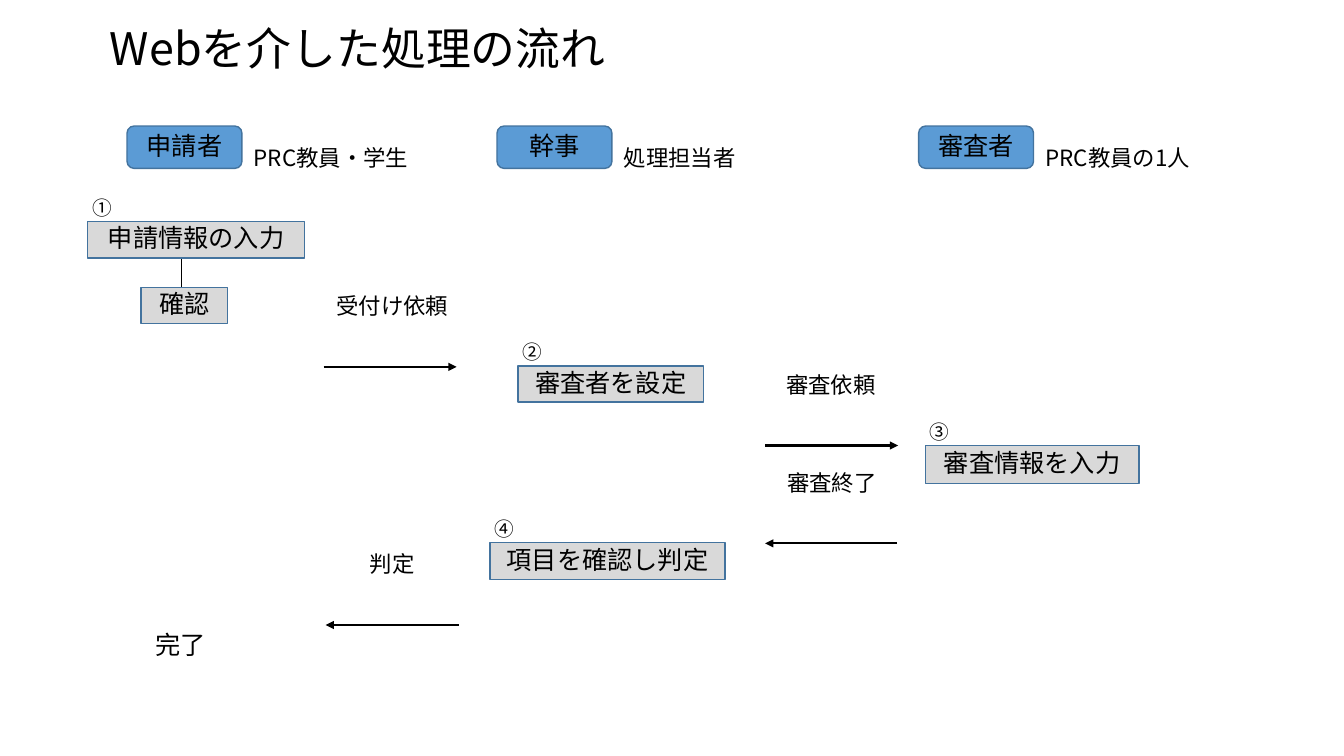
"""Build the slide on the flow of requests handled through the Web."""
from dataclasses import dataclass

from lxml import etree
from pptx import Presentation
from pptx.dml.color import RGBColor
from pptx.enum.shapes import MSO_CONNECTOR, MSO_SHAPE
from pptx.enum.text import MSO_ANCHOR, MSO_AUTO_SIZE, PP_ALIGN
from pptx.oxml.ns import qn
from pptx.util import Inches, Pt

RECT, ROUND = MSO_SHAPE.RECTANGLE, MSO_SHAPE.ROUNDED_RECTANGLE
STRAIGHT = MSO_CONNECTOR.STRAIGHT
LEFT, CENTER = PP_ALIGN.LEFT, PP_ALIGN.CENTER
MIDDLE, FIXED = MSO_ANCHOR.MIDDLE, MSO_AUTO_SIZE.NONE

WIDTH, HEIGHT = Inches(13.33), Inches(7.5)
COLS = ROWS = 100
FONT = "Noto Sans CJK JP"
BLACK, BLUE, GRAY, EDGE = "000000", "5B9BD5", "D9D9D9", "43739E"
TEXT_H = 7.07


@dataclass
class Area:
    """A block of grid columns and rows."""
    x: float
    y: float
    w: float
    h: float


@dataclass
class Role:
    """A party at the head of a lane."""
    name: str
    note: str
    x: float


@dataclass
class Step:
    """A boxed task with its number."""
    mark: str
    text: str
    area: Area


@dataclass
class Flow:
    """A message arrow with its label."""
    text: str
    start: float
    end: float
    y: float
    label_x: float


ROLES = [
    Role("申請者", "PRC教員・学生", 9.45),
    Role("幹事", "処理担当者", 36.98),
    Role("審査者", "PRC教員の1人", 68.35),
]
STEPS = [
    Step("", "確認", Area(10.5, 38, 6.45, 4.8)),
    Step("➁", "審査者を設定", Area(38.55, 48.4, 13.8, 4.8)),
    Step("③", "審査情報を入力", Area(68.85, 58.93, 15.9, 5.07)),
    Step("④", "項目を確認し判定", Area(36.45, 71.73, 17.5, 4.93)),
    Step("①", "申請情報の入力", Area(6.53, 29.3, 16.13, 4.85)),
]
FLOWS = [
    Flow("審査依頼", 56.93, 66.83, 58.93, 57.75),
    Flow("審査終了", 66.75, 56.93, 71.87, 57.83),
    Flow("受付け依頼", 24.08, 33.98, 48.53, 24.3),
    Flow("判定", 34.13, 24.23, 82.67, 26.78),
]


def col(n: float) -> int:
    """Turn grid columns into a length."""
    return round(WIDTH * n / COLS)


def row(n: float) -> int:
    """Turn grid rows into a length."""
    return round(HEIGHT * n / ROWS)


def frame(area: Area) -> tuple[int, int, int, int]:
    """Turn an area into left, top, width and height."""
    return col(area.x), row(area.y), col(area.w), row(area.h)


def color(code: str) -> RGBColor:
    """Turn a hex string into a colour."""
    return RGBColor.from_string(code)


def write(shape, text: str, size: int, align=LEFT, wrap: bool = True) -> None:
    """Put one styled paragraph into a shape."""
    body = shape.text_frame
    body.auto_size, body.word_wrap = FIXED, wrap
    body.vertical_anchor = MIDDLE
    body.text = text
    para = body.paragraphs[0]
    para.alignment, para.line_spacing = align, 0.9
    font = para.font
    font.size, font.name = Pt(size), FONT
    font.color.rgb = color(BLACK)
    style = para._p.pPr.find(qn("a:defRPr"))
    etree.SubElement(style, qn("a:ea"), typeface=FONT)


def add_text(slide, text: str, area: Area, size: int) -> None:
    """Add a plain text box."""
    write(slide.shapes.add_textbox(*frame(area)), text, size)


def add_box(slide, kind, text: str, area: Area, fill: str) -> None:
    """Add a filled box with a centred label."""
    box = slide.shapes.add_shape(kind, *frame(area))
    box.shadow.inherit = False
    box.fill.solid()
    box.fill.fore_color.rgb = color(fill)
    box.line.color.rgb = color(EDGE)
    box.line.width = Pt(1)
    write(box, text, 18, CENTER, False)


def add_line(slide, start: tuple[float, float], end: tuple[float, float],
             width: float, arrow: bool) -> None:
    """Add a black line, with an arrowhead if asked."""
    line = slide.shapes.add_connector(
        STRAIGHT, col(start[0]), row(start[1]), col(end[0]), row(end[1]))
    line.line.color.rgb = color(BLACK)
    line.line.width = Pt(width)
    if arrow:
        etree.SubElement(line.line._get_or_add_ln(), qn("a:tailEnd"),
                         type="triangle")
    etree.SubElement(line._element.spPr, qn("a:effectLst"))


def add_role(slide, role: Role) -> None:
    """Add a party and the note beside it."""
    add_box(slide, ROUND, role.name, Area(role.x, 16.67, 8.55, 5.6), BLUE)
    add_text(slide, role.note, Area(role.x + 8.7, 17.5, 15.5, TEXT_H), 16)


def add_step(slide, step: Step) -> None:
    """Add a task and the number above it."""
    area = step.area
    add_box(slide, RECT, step.text, area, GRAY)
    if step.mark:
        spot = Area(area.x - 0.4, area.y - 5.2, 3.45, TEXT_H)
        add_text(slide, step.mark, spot, 14)


def add_flow(slide, flow: Flow) -> None:
    """Add a message arrow and the label above it."""
    add_line(slide, (flow.start, flow.y), (flow.end, flow.y), 1.5, True)
    spot = Area(flow.label_x, flow.y - 11.4, 10.5, TEXT_H)
    add_text(slide, flow.text, spot, 16)


def main() -> None:
    """Draw and save the slide."""
    deck = Presentation()
    deck.slide_width, deck.slide_height = WIDTH, HEIGHT
    slide = deck.slides.add_slide(deck.slide_layouts.get_by_name("Title Only"))
    title = slide.shapes.title
    title.left, title.top, title.width, title.height = frame(
        Area(7.43, 3.2, 38.4, TEXT_H))
    write(title, "Webを介した処理の流れ", 32)
    add_line(slide, (13.5, 31.2), (13.5, 39.5), 1, False)
    for role in ROLES:
        add_role(slide, role)
    for step in STEPS:
        add_step(slide, step)
    for flow in FLOWS:
        add_flow(slide, flow)
    add_text(slide, "完了", Area(10.8, 82, 9.9, TEXT_H), 18)
    deck.save("out.pptx")


if __name__ == "__main__":
    main()
